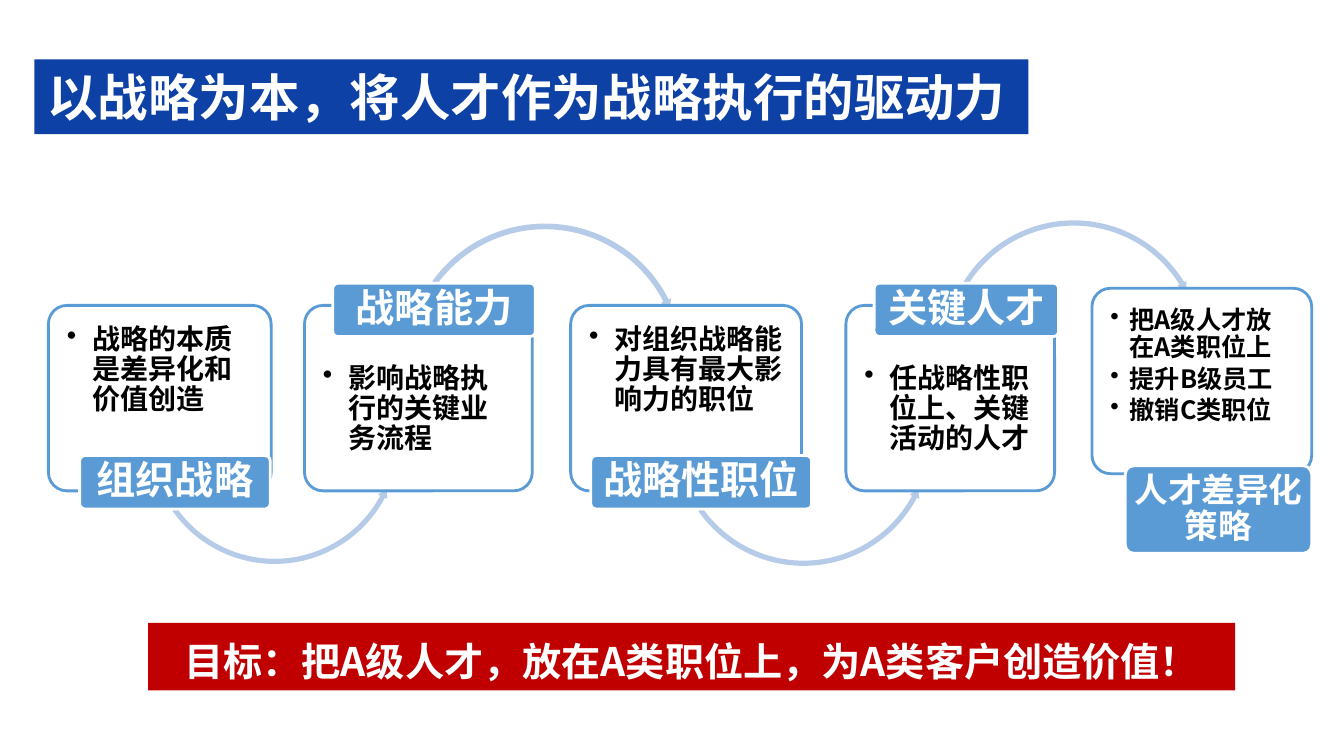
"""Build a slide that links strategy to talent in five connected steps."""
from lxml import etree
from pptx import Presentation
from pptx.dml.color import RGBColor
from pptx.enum.shapes import MSO_SHAPE
from pptx.enum.text import MSO_ANCHOR, MSO_AUTO_SIZE, PP_ALIGN
from pptx.oxml.ns import qn
from pptx.util import Inches, Pt

CARD = MSO_SHAPE.ROUNDED_RECTANGLE
BAR = MSO_SHAPE.RECTANGLE
OVER = MSO_SHAPE.CIRCULAR_ARROW
UNDER = MSO_SHAPE.LEFT_CIRCULAR_ARROW
TOP, MIDDLE = MSO_ANCHOR.TOP, MSO_ANCHOR.MIDDLE
LEFT, CENTER = PP_ALIGN.LEFT, PP_ALIGN.CENTER
NO_FIT = MSO_AUTO_SIZE.NONE

FONT = "Noto Sans CJK SC"
WHITE, BLACK = "FFFFFF", "000000"
NAVY, BLUE, PALE, RED = "0E41A5", "5B9BD5", "B5CBE7", "C00000"


def paint(shape, fill, line=None):
    """Give a shape a flat fill and an optional outline."""
    shape.fill.solid()
    shape.fill.fore_color.rgb = RGBColor.from_string(fill)
    shape.shadow.inherit = False
    if line:
        shape.line.color.rgb = RGBColor.from_string(line)
        shape.line.width = Pt(2)
    else:
        shape.line.fill.background()


def write(shape, lines, size, color, align, anchor, insets, spacing, indent=0):
    """Write bold paragraphs into a shape, bulleted when indented."""
    frame = shape.text_frame
    frame.text = "\n".join(lines)
    frame.word_wrap = True
    frame.auto_size = NO_FIT
    frame.vertical_anchor = anchor
    frame.margin_left = frame.margin_right = Inches(insets[0])
    frame.margin_top, frame.margin_bottom = Inches(insets[1]), Inches(insets[2])
    for para in frame.paragraphs:
        para.alignment = align
        para.line_spacing = spacing
        if indent:
            para.space_after = Pt(3)
            properties = para._p.get_or_add_pPr()
            properties.set("marL", str(Inches(indent)))
            properties.set("indent", str(-Inches(indent)))
            etree.SubElement(properties, qn("a:buChar"), char="•")
        for span in para.runs:
            span.font.size = Pt(size)
            span.font.bold = True
            span.font.color.rgb = RGBColor.from_string(color)
            span.font.name = FONT
            etree.SubElement(span._r.get_or_add_rPr(), qn("a:ea"), typeface=FONT)


deck = Presentation()
deck.slide_width, deck.slide_height = Inches(13.33), Inches(7.5)
page = deck.slides.add_slide(deck.slide_layouts[5])
shapes = page.shapes

title = shapes.title
title.left, title.top = Inches(0.34), Inches(0.59)
title.width, title.height = Inches(9.86), Inches(0.74)
paint(title, NAVY)
write(title, ["以战略为本，将人才作为战略执行的驱动力"], 36, WHITE, LEFT, MIDDLE,
      (0.13, 0.07, 0.07), 1.0)

steps = [
    {"card": (0.48, 3.03, 2.21), "label": (0.79, 4.52, 1.89, 0.53),
     "name": "组织战略", "points": ["战略的本质是差异化和价值创造"],
     "arrow": (UNDER, 1.46, 3.09, 2.53, (0.02, 2.44, 16.86, 86.91, 0.02))},
    {"card": (3.02, 3.03, 2.26), "label": (3.3, 2.81, 2.01, 0.53),
     "name": "战略能力", "points": ["影响战略执行的关键业务流程"],
     "arrow": (OVER, 4, 2.19, 2.81, (0.02, 2.19, 199.77, 129.47, 0.02))},
    {"card": (5.66, 3.03, 2.29), "label": (5.86, 4.52, 2.19, 0.53),
     "name": "战略性职位", "points": ["对组织战略能力具有最大影响力的职位"],
     "arrow": (UNDER, 6.67, 3.04, 2.6, (0.02, 2.38, 16.89, 86.99, 0.02))},
    {"card": (8.39, 3.03, 2.07), "label": (8.67, 2.81, 1.83, 0.53),
     "name": "关键人才", "points": ["任战略性职位上、关键活动的人才"],
     "arrow": (OVER, 9.34, 2.16, 2.62, (0.02, 2.36, 197.06, 126.93, 0.02))},
    {"card": (10.83, 2.86, 2.18), "label": (11.16, 4.62, 1.85, 0.87),
     "name": "人才差异化策略",
     "points": ["把A级人才放在A类职位上", "提升B级员工", "撤销C类职位"],
     "arrow": None},
]

for step in steps:
    last = step["arrow"] is None
    left, top, width = step["card"]
    card = shapes.add_shape(CARD, Inches(left), Inches(top), Inches(width), Inches(1.84))
    card.adjustments[0] = 0.1
    paint(card, WHITE, BLUE)
    fill_color = card._element.spPr.find(qn("a:solidFill"))[0]
    etree.SubElement(fill_color, qn("a:alpha"), val="90000")
    label_on_top = step["label"][1] < top
    write(card, step["points"], 18 if last else 20, BLACK, LEFT, TOP,
          (0.13, 0.53 if label_on_top else 0.14, 0.1), 0.9, 0.19 if last else 0.25)

    if not last:
        kind, left, top, size, bends = step["arrow"]
        arrow = shapes.add_shape(kind, Inches(left), Inches(top), Inches(size), Inches(size))
        for index, bend in enumerate(bends):
            arrow.adjustments[index] = bend
        paint(arrow, PALE)

    label = shapes.add_shape(CARD, *map(Inches, step["label"]))
    label.adjustments[0] = 0.1
    paint(label, BLUE, WHITE)
    write(label, [step["name"]], 24 if last else 28, WHITE, CENTER, MIDDLE,
          (0.05, 0.04, 0.04), 0.9)

goal = shapes.add_shape(BAR, Inches(1.47), Inches(6.18), Inches(10.78), Inches(0.67))
paint(goal, RED)
write(goal, ["目标：把A级人才，放在A类职位上，为A类客户创造价值！"], 28, WHITE, CENTER, TOP,
      (0.1, 0.05, 0.05), 1.2)

deck.save("out.pptx")
